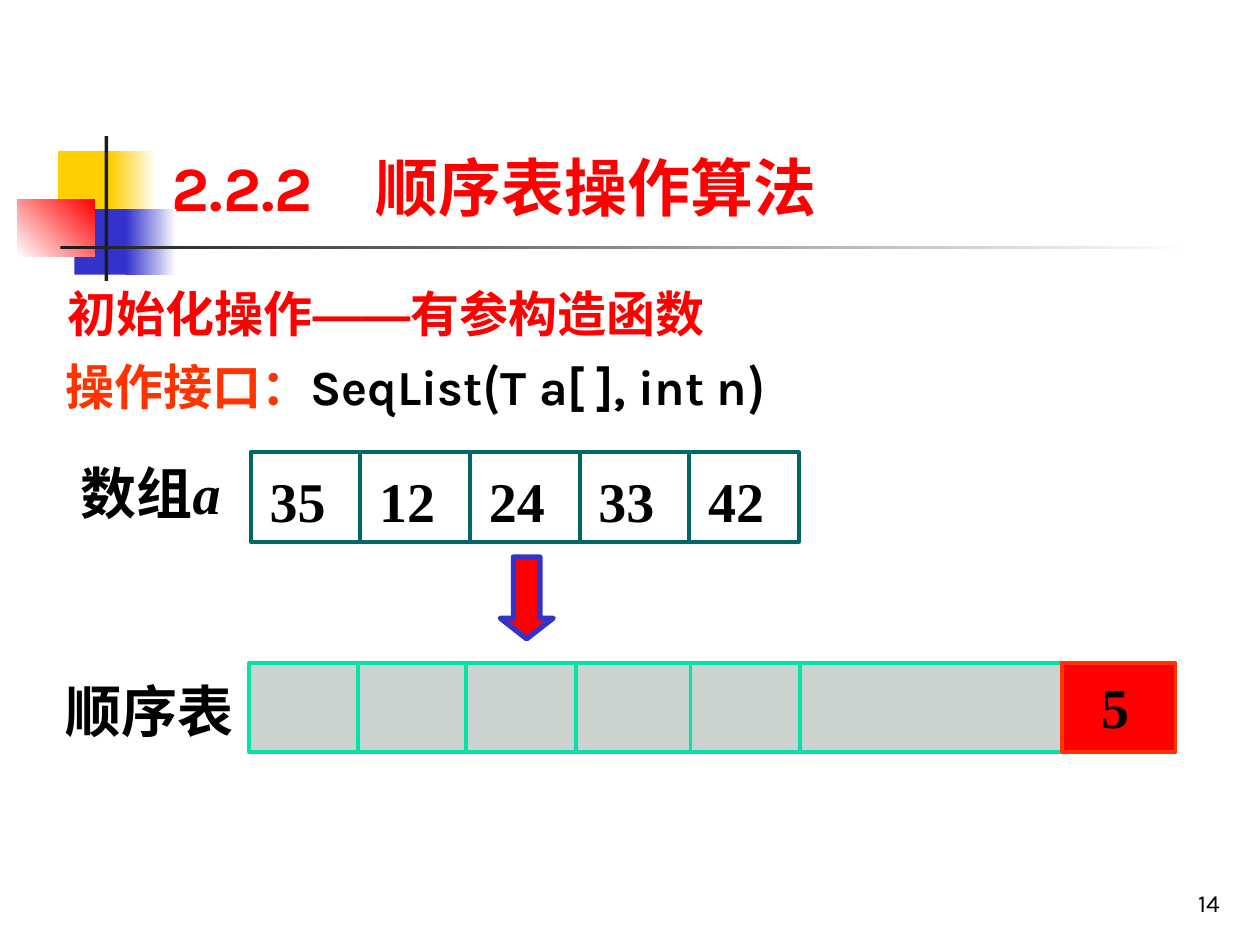
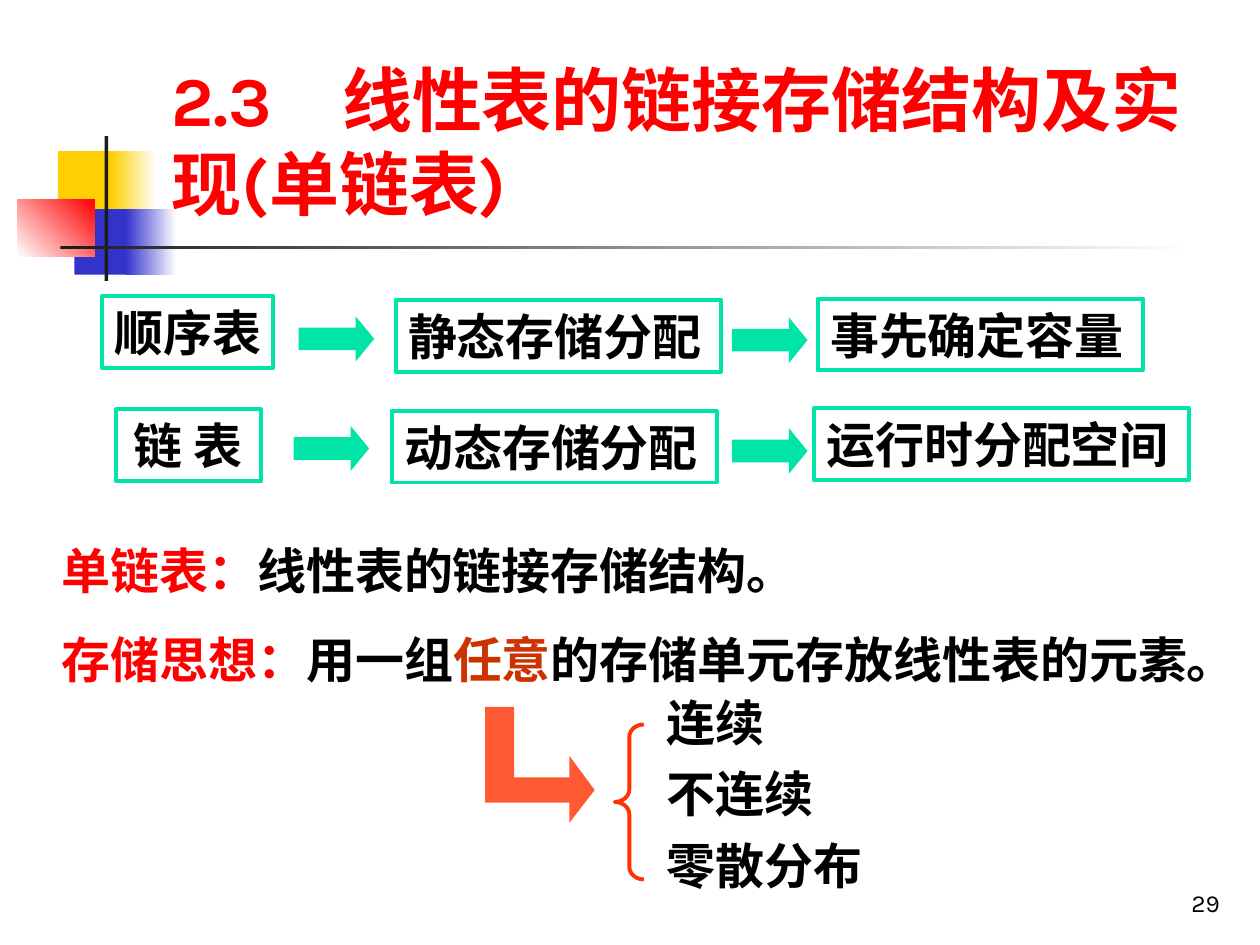
import pptx
import pptx.util
import pptx.dml.color
import pptx.enum.shapes
import pptx.enum.text
import pptx.oxml.ns
import lxml.etree

Inches = pptx.util.Inches
Pt = pptx.util.Pt
RGBColor = pptx.dml.color.RGBColor
Shape = pptx.enum.shapes.MSO_SHAPE
Anchor = pptx.enum.text.MSO_ANCHOR
Align = pptx.enum.text.PP_ALIGN

BLACK = RGBColor(0x00, 0x00, 0x00)
WHITE = RGBColor(0xFF, 0xFF, 0xFF)
INK = RGBColor(0x1C, 0x1C, 0x1C)
RED = RGBColor(0xFF, 0x00, 0x00)
ORANGE = RGBColor(0xFF, 0x33, 0x00)
CORAL = RGBColor(0xFF, 0x5A, 0x33)
RUST = RGBColor(0xCC, 0x33, 0x00)
YELLOW = RGBColor(0xFF, 0xCF, 0x01)
BLUE = RGBColor(0x33, 0x33, 0xCC)
GREEN = RGBColor(0x00, 0xE4, 0xA8)
TEAL = RGBColor(0x00, 0x66, 0x66)
GRAY = RGBColor(0xCB, 0xD3, 0xD1)

KARLA = "Karla"
NOTO = "Noto Sans CJK SC"
ARIAL = "Arial"
TIMES = "Times New Roman"

BAND = [
    ((0.46, 1.2, 0.48, 0.52), [YELLOW], 0),
    ((0.88, 1.2, 0.36, 0.52), [YELLOW, WHITE], 0),
    ((0.59, 1.66, 0.46, 0.52), [BLUE], 0),
    ((1, 1.66, 0.4, 0.52), [BLUE, WHITE], 0),
    ((0.14, 1.58, 0.61, 0.46), [WHITE, RED], 45),
    ((0.83, 1.08, 0.03, 1.15), [INK], 0),
    ((0.48, 1.95, 9, 0.03), [INK, WHITE], 0),
]
TITLE_AREA = (1.26, 0.23, 8.52, 1.6)
NUMBER_AREA = (7.7, 6.83, 2.08, 0.5)

ARRAY_TITLE = ("2.2.2　顺序表操作算法", 36, "14")
SUBTITLE = [[("初始化操作", RED, KARLA), ("——", RED, ARIAL, {"east": ARIAL}),
             ("有参构造函数", RED, KARLA)]]
INTERFACE = [[("操作接口：", ORANGE, KARLA), ("SeqList", BLACK, KARLA), ("(", BLACK, NOTO),
              ("T a[ ], int n", BLACK, KARLA), (")", BLACK, NOTO)]]
ARRAY_LABEL = [[("数组", BLACK, ARIAL), ("a", BLACK, TIMES, {"italic": True})]]
LIST_LABEL = [[("顺序表", BLACK, ARIAL)]]
ARRAY_VALUES = ["35", "12", "24", "33", "42"]
ARRAY_LEFT, ARRAY_TOP, CELL_WIDTH, CELL_HEIGHT = 1.99, 3.59, 0.87, 0.71
LIST_LEFT, LIST_TOP = 1.98, 5.26
LIST_DIVIDERS = [2.84, 3.7, 4.57, 5.48, 6.35]
LIST_LENGTH = "5"

LINKED_TITLE = ("2.3　线性表的链接存储结构及实现(单链表)", 40, "29")
FLOW_HEIGHT = 0.57
FLOW_BOXES = [
    ("顺序表", 0.81, 2.35, 1.36, ARIAL),
    ("静态存储分配", 3.14, 2.38, 2.58, NOTO),
    ("事先确定容量", 6.49, 2.37, 2.58, NOTO),
    ("链 表", 0.92, 3.25, 1.15, ARIAL),
    ("动态存储分配", 3.11, 3.26, 2.58, NOTO),
    ("运行时分配空间", 6.46, 3.24, 2.98, NOTO),
]
FLOW_ARROWS = [(2.37, 2.51), (5.81, 2.52), (2.33, 3.38), (5.81, 3.4)]
DEFINITIONS = [
    [("单链表：", RED, NOTO), ("线性表的链接存储结构。", BLACK, NOTO)],
    [("存储思想：", RED, NOTO), ("用一组", BLACK, NOTO), ("任意", RUST, NOTO),
     ("的存储单元存放线性表的元素。", BLACK, NOTO)],
]
PLACEMENTS = [[(text, BLACK, NOTO)] for text in ("连续", "不连续", "零散分布")]
BENT_ARROW = [(3.85, 5.61), (4.08, 5.61), (4.08, 6.17), (4.52, 6.17), (4.52, 6),
              (4.72, 6.27), (4.52, 6.53), (4.52, 6.37), (3.85, 6.37)]


def inches(area):
    return [Inches(value) for value in area]


def set_all(target, values):
    for name, value in values.items():
        setattr(target, name, value)


def write(frame, paras, size, insets=(0.1, 0.05), before=0, bold=True, line=None,
          align=Align.LEFT, anchor=Anchor.TOP, wrap=True):
    side, edge = inches(insets)
    set_all(frame, {"word_wrap": wrap, "vertical_anchor": anchor,
                    "auto_size": pptx.enum.text.MSO_AUTO_SIZE.NONE,
                    "margin_left": side, "margin_right": side,
                    "margin_top": edge, "margin_bottom": edge})
    for index, spans in enumerate(paras):
        para = frame.add_paragraph() if index else frame.paragraphs[0]
        set_all(para, {"alignment": align, "line_spacing": line,
                       "space_before": Pt(before if index else 0)})
        for text, color, font, *extra in spans:
            options = {"east": NOTO, "italic": False, **(extra[0] if extra else {})}
            span = para.add_run()
            span.text = text
            set_all(span.font, {"name": font, "size": Pt(size), "bold": bold,
                                "italic": options["italic"]})
            span.font.color.rgb = color
            east = lxml.etree.Element(pptx.oxml.ns.qn("a:ea"), typeface=options["east"])
            span.font._element.find(pptx.oxml.ns.qn("a:latin")).addnext(east)


def add_text(page, area, paras, size, **layout):
    box = page.shapes.add_textbox(*inches(area))
    write(box.text_frame, paras, size, **layout)


def paint(shape, fill=None, line=None, width=2.25):
    shape.shadow.inherit = False
    if fill is None:
        shape.fill.background()
    else:
        shape.fill.solid()
        shape.fill.fore_color.rgb = fill
    if line is None:
        shape.line.fill.background()
    else:
        shape.line.color.rgb = line
        shape.line.width = Pt(width)


def add_block(page, kind, area, fill=None, line=None, width=2.25, adjust=()):
    shape = page.shapes.add_shape(kind, *inches(area))
    paint(shape, fill, line, width)
    for index, value in enumerate(adjust):
        shape.adjustments[index] = value
    return shape


def add_divider(page, x, top, bottom):
    divider = page.shapes.add_connector(pptx.enum.shapes.MSO_CONNECTOR.STRAIGHT,
                                        *inches((x, top, x, bottom)))
    divider.line.color.rgb = GREEN
    divider.line.width = Pt(2.25)
    lxml.etree.SubElement(divider._element.spPr, pptx.oxml.ns.qn("a:effectLst"))


def add_page(deck, title, size, number):
    page = deck.slides.add_slide(deck.slide_layouts[5])
    for area, colors, angle in BAND:
        shape = add_block(page, Shape.RECTANGLE, area, colors[0])
        if len(colors) > 1:
            shape.fill.gradient()
            shape.fill.gradient_angle = angle
            for stop, color in zip(shape.fill.gradient_stops, colors):
                stop.color.rgb = color
    heading = page.shapes.title
    set_all(heading, dict(zip(("left", "top", "width", "height"), inches(TITLE_AREA))))
    write(heading.text_frame, [[(title, RED, KARLA)]], size, anchor=Anchor.BOTTOM)
    add_text(page, NUMBER_AREA, [[(number, BLACK, KARLA)]], 14, bold=False,
             align=Align.RIGHT, anchor=Anchor.BOTTOM)
    return page


def build_array_page(deck):
    page = add_page(deck, *ARRAY_TITLE)
    add_text(page, (0.44, 2.16, 6.48, 0.64), SUBTITLE, 28, anchor=Anchor.MIDDLE)
    add_text(page, (0.52, 2.83, 7.27, 0.52), INTERFACE, 28, insets=(0, 0.05), line=0.9)
    add_text(page, (0.54, ARRAY_TOP, 1.58, 0.64), ARRAY_LABEL, 32)
    for index, value in enumerate(ARRAY_VALUES):
        left = ARRAY_LEFT + index * CELL_WIDTH
        cell = add_block(page, Shape.RECTANGLE, (left, ARRAY_TOP, CELL_WIDTH, CELL_HEIGHT),
                         line=TEAL)
        write(cell.text_frame, [[(value, BLACK, TIMES)]], 32, insets=(0.15, 0.11))
    add_block(page, Shape.DOWN_ARROW, (3.97, 4.42, 0.42, 0.65), RED, BLUE, 3, (0.5, 0.39))
    add_text(page, (0.42, 5.32, 1.67, 0.64), LIST_LABEL, 32)
    add_block(page, Shape.RECTANGLE, (LIST_LEFT, LIST_TOP, 6.47, CELL_HEIGHT), GRAY, GREEN)
    for x in LIST_DIVIDERS:
        add_divider(page, x, LIST_TOP, LIST_TOP + CELL_HEIGHT)
    length = add_block(page, Shape.RECTANGLE, (8.43, LIST_TOP, 0.9, CELL_HEIGHT), RED, ORANGE)
    write(length.text_frame, [[(LIST_LENGTH, BLACK, TIMES)]], 32, insets=(0.31, 0.08))


def build_linked_page(deck):
    page = add_page(deck, *LINKED_TITLE)
    for text, left, top, width, font in FLOW_BOXES:
        box = add_block(page, Shape.RECTANGLE, (left, top, width, FLOW_HEIGHT), line=GREEN)
        first = font == ARIAL
        write(box.text_frame, [[(text, BLACK, font)]], 28, wrap=not first,
              align=Align.CENTER if first else Align.LEFT, anchor=Anchor.MIDDLE)
    for left, top in FLOW_ARROWS:
        add_block(page, Shape.RIGHT_ARROW, (left, top, 0.6, 0.36), GREEN, adjust=(0.5, 0.41))
    add_text(page, (0.39, 4.24, 9.61, 1.28), DEFINITIONS, 28, before=17.5)
    add_text(page, (5.19, 5.45, 2.28, 1.7), PLACEMENTS, 28, before=7)
    add_block(page, Shape.LEFT_BRACE, (4.88, 5.75, 0.23, 1.23), line=ORANGE,
              adjust=(0.43, 0.5))
    start, *corners = [inches(point) for point in BENT_ARROW]
    outline = page.shapes.build_freeform(*start)
    outline.add_line_segments(corners, close=True)
    paint(outline.convert_to_shape(), CORAL)


def main():
    deck = pptx.Presentation()
    deck.slide_width, deck.slide_height = inches((10, 7.5))
    build_array_page(deck)
    build_linked_page(deck)
    deck.save("out.pptx")


if __name__ == "__main__":
    main()
